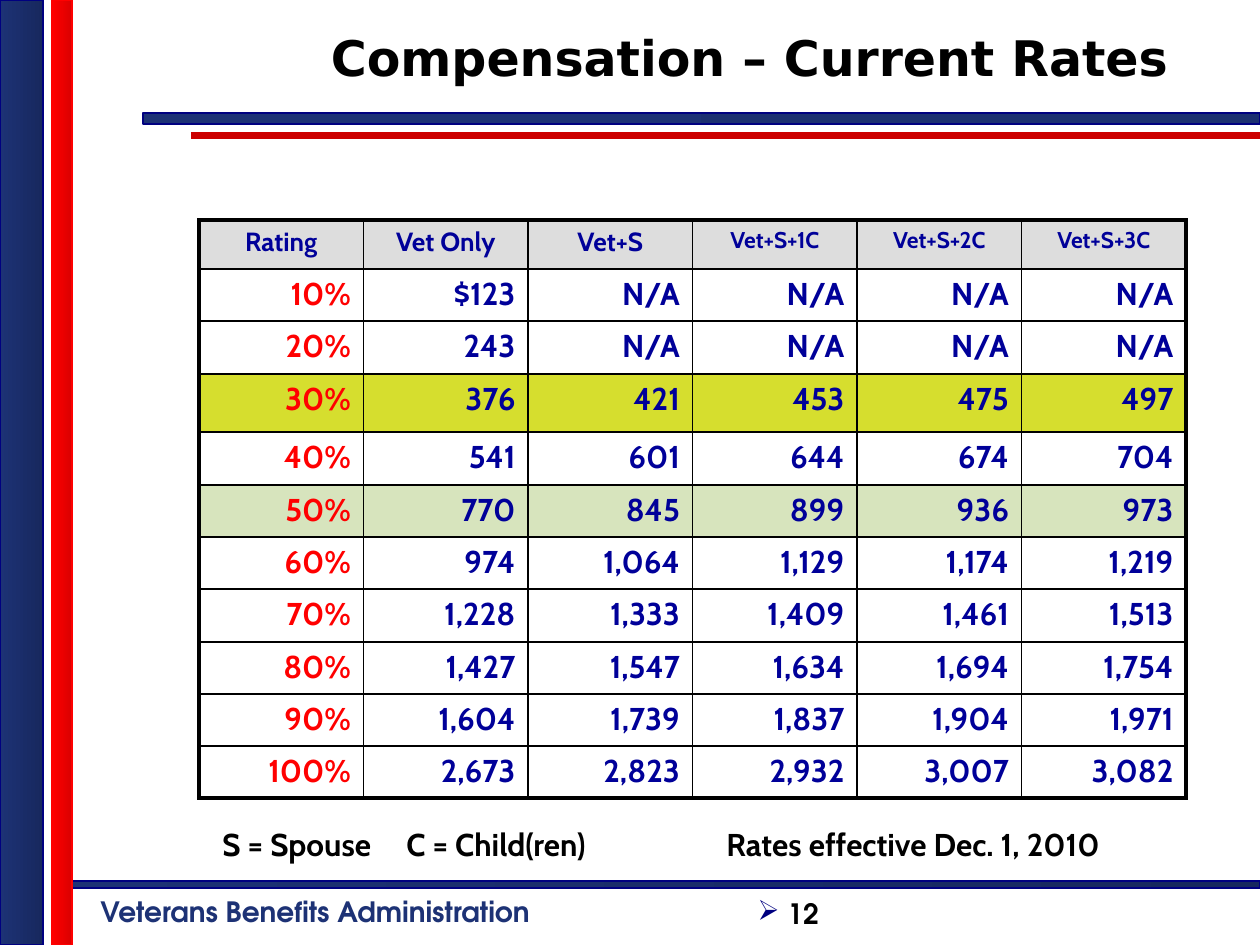
from lxml import etree
from pptx import Presentation
from pptx import util as u
from pptx.dml.color import RGBColor
from pptx.enum import shapes, text
from pptx.oxml import ns

SCALE = 914400 / 126
NAVY, BLUE, RED, BLACK = "1D3275", "000099", "FF0000", "000000"
THIN, THICK = 1, 2.25

HEADINGS = ["Rating", "Vet Only", "Vet+S", "Vet+S+1C", "Vet+S+2C", "Vet+S+3C"]
RATES = [
    ["10%", "$123", "N/A", "N/A", "N/A", "N/A"],
    ["20%", "243", "N/A", "N/A", "N/A", "N/A"],
    ["30%", "376", "421", "453", "475", "497"],
    ["40%", "541", "601", "644", "674", "704"],
    ["50%", "770", "845", "899", "936", "973"],
    ["60%", "974", "1,064", "1,129", "1,174", "1,219"],
    ["70%", "1,228", "1,333", "1,409", "1,461", "1,513"],
    ["80%", "1,427", "1,547", "1,634", "1,694", "1,754"],
    ["90%", "1,604", "1,739", "1,837", "1,904", "1,971"],
    ["100%", "2,673", "2,823", "2,932", "3,007", "3,082"],
]
ROW_HEIGHTS = [49, 52, 53, 58, 53, 52, 52, 53, 52, 52, 52]
ROW_FILLS = {0: "DDDDDD", 3: "D6DE2E", 5: "D7E4BD"}


def px(length):
    return u.Emu(round(length * SCALE))


def colour(value):
    return RGBColor.from_string(value)


def sub(parent, tag, **attributes):
    return etree.SubElement(parent, ns.qn(tag), attributes)


def style(para, size, font, value, align=text.PP_ALIGN.LEFT):
    para.alignment = align
    for span in para.runs:
        span.font.size = u.Pt(size)
        span.font.name = font
        span.font.bold = True
        span.font.color.rgb = colour(value)


def add_bar(page, bounds, start, end, edge):
    """Draw a bar shaded from left to right."""
    bar = page.shapes.add_shape(shapes.MSO_SHAPE.RECTANGLE, *map(px, bounds))
    bar.shadow.inherit = False
    bar.fill.gradient()
    bar.fill.gradient_angle = 0
    for stop, value in zip(bar.fill.gradient_stops, (start, end)):
        stop.color.rgb = colour(value)
    bar.line.color.rgb = colour(edge)
    bar.line.width = u.Pt(1)


def add_rule(page, left, right, y):
    rule = page.shapes.add_connector(
        shapes.MSO_CONNECTOR.STRAIGHT, px(left), px(y), px(right), px(y))
    rule.line.color.rgb = colour("CC0000")
    rule.line.width = u.Pt(4)
    sub(rule._element.spPr, "a:effectLst")


def add_label(page, bounds, words):
    box = page.shapes.add_textbox(*map(px, bounds))
    box.text_frame.word_wrap = True
    box.text_frame.text = words
    return box.text_frame.paragraphs[0]


def add_title(page, words):
    title = page.shapes.title
    title.left, title.top, title.width, title.height = map(px, (284, 21, 976, 72))
    frame = title.text_frame
    frame.text = words
    frame.margin_left = px(47)
    frame.vertical_anchor = text.MSO_ANCHOR.TOP
    style(frame.paragraphs[0], 28, "DejaVu Sans", BLACK)


def add_page_number(page, number):
    para = add_label(page, (661, 882, 262, 63), number)
    properties = para._p.get_or_add_pPr()
    sub(sub(properties, "a:buClr"), "a:srgbClr", val="000080")
    sub(properties, "a:buFont", typeface="Wingdings", charset="2")
    sub(properties, "a:buChar", char="Ø")
    style(para, 16, "TeX Gyre Adventor", BLACK, text.PP_ALIGN.CENTER)
    frame = page.shapes[-1].text_frame
    frame.vertical_anchor = text.MSO_ANCHOR.MIDDLE


def add_key(page, *entries):
    """Write the abbreviations on one line, set apart by a tab."""
    para = add_label(page, (210, 819, 476, 50), "\t".join(entries))
    tabs = sub(para._p.get_or_add_pPr(), "a:tabLst")
    sub(tabs, "a:tab", pos=str(px(184)), algn="l")
    style(para, 18, "Cabin", BLACK)


def set_borders(cell, widths):
    """Set the left, right, top and bottom borders, ahead of the cell's fill."""
    properties = cell._tc.get_or_add_tcPr()
    for index, (side, width) in enumerate(zip("LRTB", widths)):
        line = properties.makeelement(ns.qn(f"a:ln{side}"), {"w": str(u.Pt(width))})
        sub(sub(line, "a:solidFill"), "a:srgbClr", val=BLACK)
        properties.insert(index, line)


def style_cell(cell, row, column):
    para = cell.text_frame.paragraphs[0]
    if row == 0:
        style(para, 15 if column < 3 else 13, "Cabin", BLUE, text.PP_ALIGN.CENTER)
    else:
        value = RED if column == 0 else BLUE
        style(para, 18, "Cabin", value, text.PP_ALIGN.RIGHT)
    if row in ROW_FILLS:
        cell.fill.solid()
        cell.fill.fore_color.rgb = colour(ROW_FILLS[row])
    else:
        cell.fill.background()
    outer = (column == 0, column == len(HEADINGS) - 1, row == 0, row == len(RATES))
    set_borders(cell, [THICK if edge else THIN for edge in outer])


def add_rates_table(page):
    rows = [HEADINGS] + RATES
    bounds = map(px, (199, 220, 987, sum(ROW_HEIGHTS)))
    table = page.shapes.add_table(len(rows), len(HEADINGS), *bounds).table
    table.first_row = table.horz_banding = False
    for row, (values, height) in enumerate(zip(rows, ROW_HEIGHTS)):
        table.rows[row].height = px(height)
        for column, value in enumerate(values):
            cell = table.cell(row, column)
            cell.text = value
            style_cell(cell, row, column)


def main():
    deck = Presentation()
    deck.slide_width, deck.slide_height = px(1260), px(945)
    page = deck.slides.add_slide(deck.slide_layouts[5])

    add_rule(page, 191, 1260, 136)
    add_bar(page, (58, 881, 1202, 7), NAVY, "17285E", "000080")
    add_bar(page, (143, 113, 1117, 11), NAVY, "1C3070", "000080")
    add_bar(page, (0, 0, 43, 945), NAVY, "17285E", "000080")
    add_bar(page, (52, 0, 20, 945), RED, "DA0000", RED)

    add_title(page, "Compensation – Current Rates")
    add_rates_table(page)
    add_key(page, "S = Spouse", "C = Child(ren)")
    effective = add_label(page, (714, 819, 470, 50), "Rates effective Dec. 1, 2010")
    style(effective, 18, "Cabin", BLACK)
    agency = add_label(page, (88, 888, 460, 47), "Veterans Benefits Administration")
    style(agency, 16, "TeX Gyre Adventor", NAVY)
    add_page_number(page, "12")

    deck.save("out.pptx")


if __name__ == "__main__":
    main()
